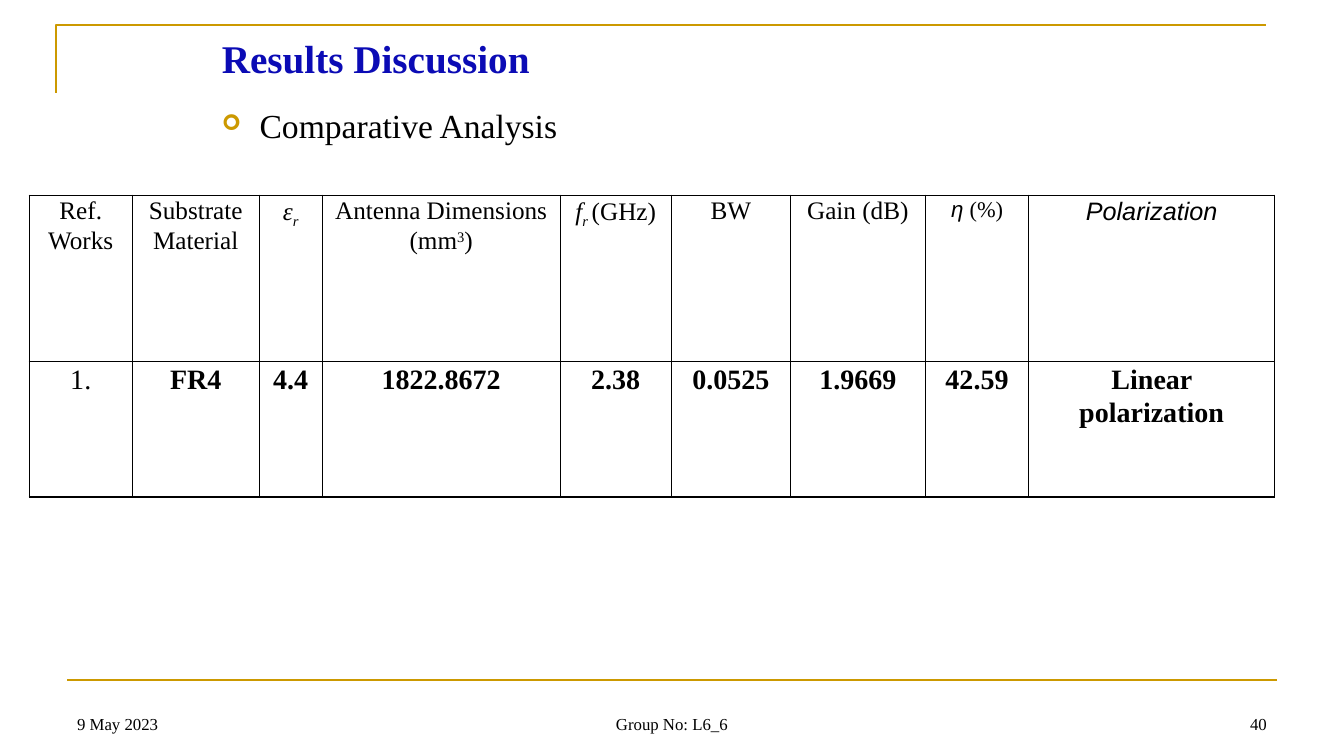
from pptx import Presentation
from pptx.dml.color import RGBColor
from pptx.enum.shapes import MSO_CONNECTOR as CONNECTOR
from pptx.enum.text import MSO_ANCHOR as ANCHOR, PP_ALIGN as ALIGN
from pptx.oxml import parse_xml
from pptx.oxml.ns import nsdecls
from pptx.util import Pt

GOLD, BLACK, BLUE = "CC9900", "000000", "0B0BB5"
SERIF = "Times New Roman"


def color(hex_code):
    return RGBColor.from_string(hex_code)


def write(paragraph, runs, ink=BLACK, **shared):
    for text, own in runs:
        run = paragraph.add_run()
        run.text = text
        run.font.color.rgb = color(ink)
        values = {"name": SERIF, "bold": False, **shared, **own}
        baseline = values.pop("baseline", None)
        for key, value in values.items():
            setattr(run.font, key, value)
        if baseline:
            run.font._element.set("baseline", str(baseline))


prs = Presentation()
prs.slide_width, prs.slide_height = Pt(960), Pt(540)
slide = prs.slides.add_slide(prs.slide_layouts[1])
shapes = slide.shapes

corner = shapes.build_freeform(Pt(40.3), Pt(66.2))
corner.add_line_segments([(Pt(40.3), Pt(18)), (Pt(904.3), Pt(18))], close=False)
frame_line = corner.convert_to_shape()
frame_line.shadow.inherit = False
frame_line.fill.background()
footer_line = shapes.add_connector(CONNECTOR.STRAIGHT, Pt(48), Pt(486), Pt(912), Pt(486))
footer_line._element.spPr.append(parse_xml(f"<a:effectLst {nsdecls('a')}/>"))
for rule in (frame_line, footer_line):
    rule.line.color.rgb = color(GOLD)
    rule.line.width = Pt(1.5)

heading = shapes.title
subject = slide.placeholders[1]
boxes = [(heading, (151.2, 20.9, 648, 56.9)), (subject, (151.2, 71.3, 653, 73.4))]
for holder, box in boxes:
    for side, length in zip(("left", "top", "width", "height"), box):
        setattr(holder, side, Pt(length))
    holder.text_frame.vertical_anchor = ANCHOR.TOP

title_line = heading.text_frame.paragraphs[0]
title_line.alignment = ALIGN.LEFT
write(title_line, [("Results Discussion", {})], BLUE, size=Pt(28), bold=True)

subject_line = subject.text_frame.paragraphs[0]
subject_line.space_before = Pt(4.8)
write(subject_line, [("Comparative Analysis", {})], size=Pt(24))
bullet = subject_line._p.get_or_add_pPr()
bullet.set("marL", str(Pt(27)))
bullet.set("indent", str(Pt(-27)))
for tag in (
    f'<a:buClr {nsdecls("a")}><a:srgbClr val="{GOLD}"/></a:buClr>',
    f'<a:buSzPct {nsdecls("a")} val="65000"/>',
    f'<a:buFont {nsdecls("a")} typeface="Wingdings"/>',
    f'<a:buChar {nsdecls("a")} char="➢"/>',
):
    bullet.append(parse_xml(tag))

footers = [
    ("9 May 2023", 48, 224, ALIGN.LEFT),
    ("Group No: L6_6", 328, 304, ALIGN.CENTER),
    ("40", 688, 224, ALIGN.RIGHT),
]
for text, left, width, alignment in footers:
    footer = shapes.add_textbox(Pt(left), Pt(492), Pt(width), Pt(36)).text_frame
    footer.word_wrap = True
    footer.vertical_anchor = ANCHOR.BOTTOM
    footer.paragraphs[0].alignment = alignment
    write(footer.paragraphs[0], [(text, {})], size=Pt(12))

italic = {"italic": True}
subscript = {"italic": True, "baseline": -25000}
headers = [
    [("Ref. Works", {})],
    [("Substrate Material", {})],
    [("ε", italic), ("r", subscript)],
    [("Antenna Dimensions (mm", {}), ("3", {"baseline": 30000}), (")", {})],
    [("f", italic), ("r ", subscript), ("(GHz)", {})],
    [("BW", {})],
    [("Gain (dB)", {})],
    [("η ", {"name": "Arial", "size": Pt(16), "italic": True}), ("(%)", {"size": Pt(16)})],
    [("Polarization", {"name": "Arial", "italic": True})],
]
results = ["FR4", "4.4", "1822.8672", "2.38", "0.0525", "1.9669", "42.59", "Linear polarization"]
design = [[("1.", {})]] + [[(result, {"bold": True})] for result in results]
rows = [(headers, 18, 119), (design, 20, 96.5)]
widths = [73.6, 90.7, 45, 170, 79.4, 85, 96.5, 73.8, 175.7]

comparison = shapes.add_table(
    len(rows), len(widths), Pt(20.9), Pt(139.5), Pt(sum(widths)), Pt(215.5)
).table
comparison.first_row = comparison.horz_banding = False
for column, width in zip(comparison.columns, widths):
    column.width = Pt(width)
cell_format = {"margin_left": Pt(5), "margin_right": Pt(5), "margin_top": 0, "margin_bottom": 0}
line_format = {"alignment": ALIGN.CENTER, "line_spacing": 1.07, "space_after": Pt(8)}
for row, (entries, size, height) in zip(comparison.rows, rows):
    row.height = Pt(height)
    for cell, runs in zip(row.cells, entries):
        cell.fill.background()
        entry = cell.text_frame.paragraphs[0]
        for target, values in ((cell, cell_format), (entry, line_format)):
            for key, value in values.items():
                setattr(target, key, value)
        write(entry, runs, size=Pt(size))
        for order, edge in enumerate("LRTB"):
            cell._tc.get_or_add_tcPr().insert(order, parse_xml(
                f'<a:ln{edge} {nsdecls("a")} w="{Pt(1)}"><a:solidFill>'
                f'<a:srgbClr val="{BLACK}"/></a:solidFill></a:ln{edge}>'
            ))

prs.save("out.pptx")
